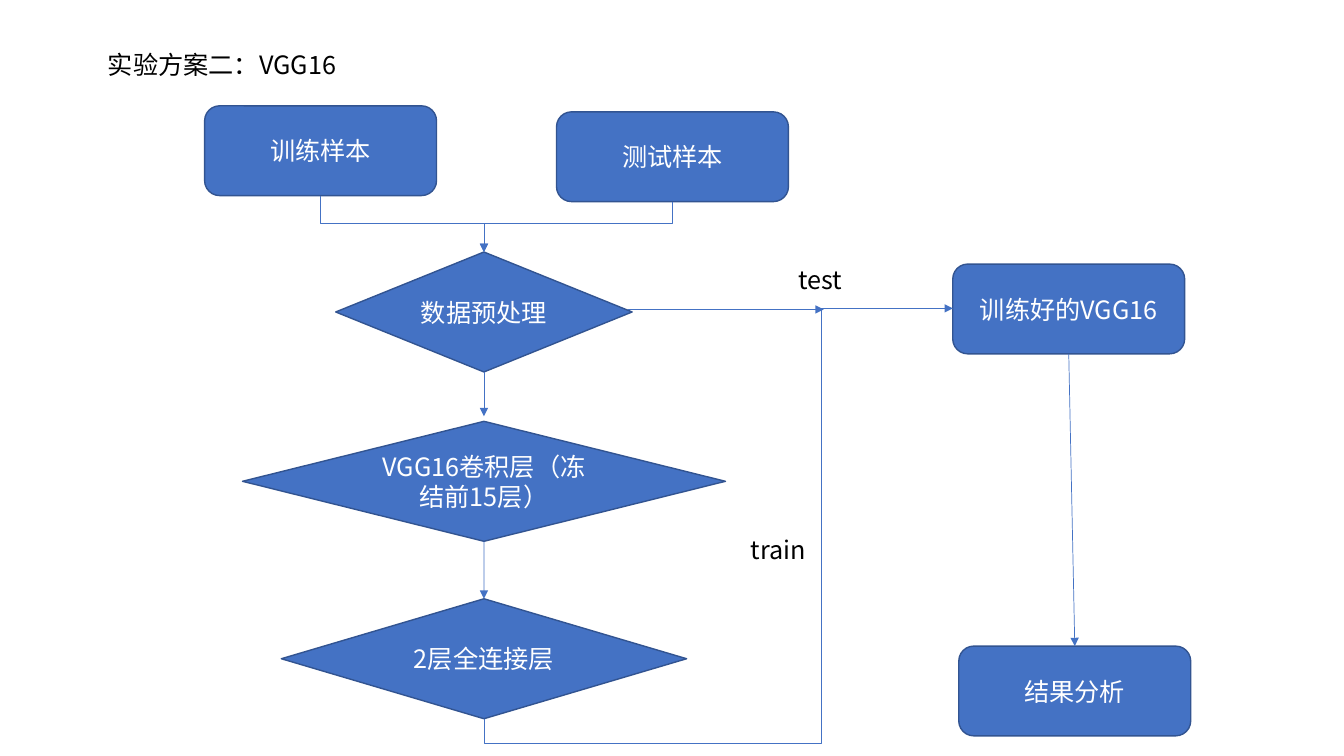
import pptx
import pptx.dml.color
import pptx.enum.shapes
import pptx.enum.text
import pptx.oxml.ns
import pptx.util
from pptx.util import Inches

FONT = "Noto Sans CJK SC"
BLUE, OUTLINE, BLACK, WHITE = "4472C4", "325491", "000000", "FFFFFF"
SHAPE = pptx.enum.shapes.MSO_SHAPE
CONNECTOR = pptx.enum.shapes.MSO_CONNECTOR
ANCHOR = pptx.enum.text.MSO_ANCHOR
ALIGN = pptx.enum.text.PP_ALIGN
qn = pptx.oxml.ns.qn


def rgb(value):
    return pptx.dml.color.RGBColor.from_string(value)


def add_xml(parent, tag, **attributes):
    child = parent.makeelement(qn(tag), attributes)
    parent.append(child)
    return child


def write(sp, text, color, align, anchor):
    tf = sp.text_frame
    tf.text = text
    tf.word_wrap = True
    tf.auto_size = pptx.enum.text.MSO_AUTO_SIZE.NONE
    tf.vertical_anchor = anchor
    p = tf.paragraphs[0]
    p.alignment = align
    p.line_spacing = 1.0
    p.space_before = pptx.util.Pt(0)
    r = p.runs[0]
    r.font.size = pptx.util.Pt(18)
    r.font.name = FONT
    r.font.color.rgb = rgb(color)
    add_xml(r.font._element, "a:ea", typeface=FONT)


def set_title(s, text, x, y, w, h):
    sp = s.shapes.title
    sp.left, sp.top, sp.width, sp.height = map(Inches, (x, y, w, h))
    write(sp, text, BLACK, ALIGN.LEFT, ANCHOR.TOP)


def add_label(s, text, x, y):
    sp = s.shapes.add_textbox(Inches(x), Inches(y), Inches(1.18), Inches(0.4))
    write(sp, text, BLACK, ALIGN.LEFT, ANCHOR.TOP)


def add_node(s, kind, text, x, y, w, h):
    sp = s.shapes.add_shape(kind, *map(Inches, (x, y, w, h)))
    sp.shadow.inherit = False
    sp.fill.solid()
    sp.fill.fore_color.rgb = rgb(BLUE)
    sp.line.color.rgb = rgb(OUTLINE)
    sp.line.width = pptx.util.Pt(1)
    write(sp, text, WHITE, ALIGN.CENTER, ANCHOR.MIDDLE)
    return sp


def add_box(s, text, x, y):
    return add_node(s, SHAPE.ROUNDED_RECTANGLE, text, x, y, 2.3, 0.89)


def add_decision(s, text, y, w, center=4.8):
    return add_node(s, SHAPE.FLOWCHART_DECISION, text, center - w / 2, y, w, 1.19)


def add_arrow(s, kind, x1, y1, x2, y2):
    c = s.shapes.add_connector(kind, *map(Inches, (x1, y1, x2, y2)))
    c.line.color.rgb = rgb(BLUE)
    c.line.width = pptx.util.Pt(0.5)
    add_xml(c.line._get_or_add_ln(), "a:tailEnd", type="triangle")
    add_xml(c._element.spPr, "a:effectLst")
    return c


def add_straight(s, start, end, source=None, target=None):
    c = add_arrow(s, CONNECTOR.STRAIGHT, *start, *end)
    if source is not None:
        c.begin_connect(source, 2)
    if target is not None:
        c.end_connect(target, 0)


def add_elbow(s, start, end, *bends):
    (x1, y1), (x2, y2) = start, end
    w, h = abs(y2 - y1), abs(x2 - x1)
    left, top = (x1 + x2 - w) / 2, (y1 + y2 - h) / 2
    c = add_arrow(s, CONNECTOR.ELBOW, left, top, left + w, top + h)
    xfrm = c._element.spPr.find(qn("a:xfrm"))
    xfrm.set("rot", str(90 * 60000))
    xfrm.set("flipH", str(int(y2 < y1)))
    xfrm.set("flipV", str(int(x2 > x1)))
    geometry = c._element.spPr.find(qn("a:prstGeom"))
    geometry.set("prst", f"bentConnector{len(bends) + 2}")
    guides = geometry.find(qn("a:avLst"))
    for i, bend in enumerate(bends, 1):
        add_xml(guides, "a:gd", name=f"adj{i}", fmla=f"val {round(bend * 100000)}")


def main():
    prs = pptx.Presentation()
    prs.slide_width, prs.slide_height = Inches(13.33), Inches(7.5)
    s = prs.slides.add_slide(prs.slide_layouts[5])
    set_title(s, "实验方案二：VGG16", 0.97, 0.44, 6.97, 0.4)

    add_box(s, "训练样本", 2.03, 1.05)
    add_box(s, "测试样本", 5.52, 1.11)
    model = add_box(s, "训练好的VGG16", 9.45, 2.62)
    analysis = add_box(s, "结果分析", 9.51, 6.41)
    preprocess = add_decision(s, "数据预处理", 2.5, 2.94)
    convolution = add_decision(s, "VGG16卷积层（冻结前15层）", 4.18, 4.79)
    dense = add_decision(s, "2层全连接层", 5.94, 4.02)

    add_elbow(s, (3.18, 1.94), (4.8, 2.5), 0.5)
    add_elbow(s, (6.67, 2), (4.8, 2.5), 0.44)
    add_elbow(s, (4.8, 7.13), (9.45, 3.06), -0.06, 0.72)
    add_straight(s, (4.8, 3.69), (4.8, 4.13), preprocess)
    add_straight(s, (4.8, 5.37), (4.8, 5.94), convolution, dense)
    add_straight(s, (10.6, 3.51), (10.66, 6.41), model, analysis)
    add_straight(s, (6.23, 3.07), (8.17, 3.07))

    add_label(s, "train", 7.35, 5.25)
    add_label(s, "test", 7.82, 2.57)
    prs.save("out.pptx")


if __name__ == "__main__":
    main()
